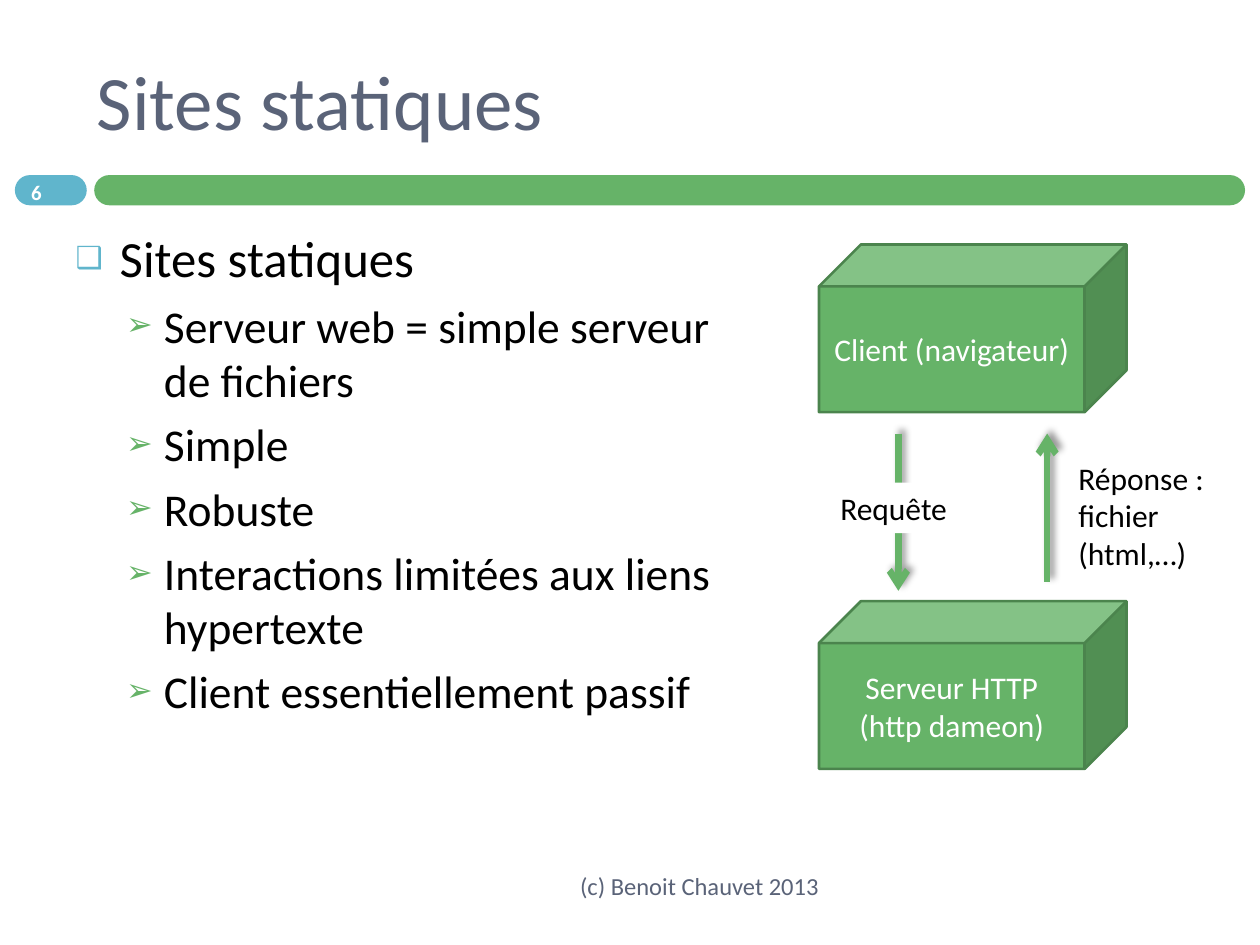
from lxml.etree import SubElement
from pptx import Presentation
from pptx.enum.shapes import MSO_CONNECTOR, MSO_SHAPE
from pptx.enum.text import MSO_ANCHOR, MSO_AUTO_SIZE, PP_ALIGN
from pptx.dml.color import RGBColor
from pptx.oxml import parse_xml
from pptx.oxml.ns import nsdecls, qn
from pptx.util import Cm, Pt

GREEN, BLUE, SLATE, WHITE, BLACK = "66B368", "60B5CC", "5A6378", "FFFFFF", "000000"


def paint(fill, color):
    fill.solid()
    fill.fore_color.rgb = RGBColor.from_string(color)


def write(paragraph, text, size=18, color=BLACK, bold=False, align=PP_ALIGN.LEFT, before=0):
    paragraph.alignment = align
    paragraph.space_before = Pt(before)
    span = paragraph.add_run()
    span.text = text
    span.font.name = "Calibri"
    span.font.size = Pt(size)
    span.font.bold = bold
    paint(span.font.fill, color)


deck = Presentation()
deck.slide_width, deck.slide_height = Cm(25.4), Cm(19.05)
page = deck.slides.add_slide(deck.slide_layouts[1])
shapes = page.shapes

for left, width, color in [(0.3, 1.45, BLUE), (1.9, 23.2, GREEN)]:
    bar = shapes.add_shape(MSO_SHAPE.ROUNDED_RECTANGLE, Cm(left), Cm(3.53), Cm(width), Cm(0.61))
    bar.adjustments[0] = 0.5
    bar.shadow.inherit = False
    paint(bar.fill, color)
    bar.line.fill.background()

title = shapes.title
title.left, title.top, title.width, title.height = Cm(1.7), Cm(0.64), Cm(22.66), Cm(2.74)
title.text_frame.auto_size = MSO_AUTO_SIZE.NONE
title.text_frame.vertical_anchor = MSO_ANCHOR.MIDDLE
write(title.text_frame.paragraphs[0], "Sites statiques", size=44, color=SLATE)

body = page.placeholders[1]
body.left, body.top, body.width, body.height = Cm(1.27), Cm(4.45), Cm(14.22), Cm(12.57)
body.text_frame.auto_size = MSO_AUTO_SIZE.NONE
levels = [
    dict(margin=0.89, hanging=0.89, mark="❑", color=BLUE, scale=60, size=29, before=0),
    dict(margin=1.78, hanging=0.76, mark="➢", color=GREEN, scale=70, size=26, before=5.5),
]
items = [
    (0, "Sites statiques"),
    (1, "Serveur web = simple serveur de fichiers"),
    (1, "Simple"),
    (1, "Robuste"),
    (1, "Interactions limitées aux liens hypertexte"),
    (1, "Client essentiellement passif"),
]
for index, (level, text) in enumerate(items):
    frame = body.text_frame
    paragraph = frame.add_paragraph() if index else frame.paragraphs[0]
    style = levels[level]
    paragraph.level = level
    properties = paragraph._p.get_or_add_pPr()
    properties.set("marL", str(Cm(style["margin"])))
    properties.set("indent", str(-Cm(style["hanging"])))
    SubElement(SubElement(properties, qn("a:buClr")), qn("a:srgbClr"), val=style["color"])
    SubElement(properties, qn("a:buSzPct"), val=str(style["scale"] * 1000))
    SubElement(properties, qn("a:buFont"), typeface="Arial")
    SubElement(properties, qn("a:buChar"), char=style["mark"])
    write(paragraph, text, size=style["size"], before=style["before"])

for top, text in [(4.93, "Client (navigateur)"), (12.12, "Serveur HTTP (http dameon)")]:
    cube = shapes.add_shape(MSO_SHAPE.CUBE, Cm(16.51), Cm(top), Cm(6.2), Cm(3.38))
    cube.shadow.inherit = False
    paint(cube.fill, GREEN)
    paint(cube.line.fill, "4B844D")
    cube.line.width = Pt(1.5)
    cube.text_frame.vertical_anchor = MSO_ANCHOR.MIDDLE
    write(cube.text_frame.paragraphs[0], text, color=WHITE, align=PP_ALIGN.CENTER)

for x, start, end in [(18.11, 8.74, 11.91), (21.11, 11.73, 8.74)]:
    arrow = shapes.add_connector(MSO_CONNECTOR.STRAIGHT, Cm(x), Cm(start), Cm(x), Cm(end))
    paint(arrow.line.fill, GREEN)
    arrow.line.width = Pt(3.75)
    SubElement(arrow.line._get_or_add_ln(), qn("a:tailEnd"), type="arrow")
    arrow._element.spPr.append(parse_xml(
        f'<a:effectLst {nsdecls("a")}>'
        f'<a:outerShdw blurRad="{Pt(4)}" dist="{Pt(3)}" dir="18900000" rotWithShape="0">'
        '<a:srgbClr val="000000"><a:alpha val="40000"/></a:srgbClr>'
        '</a:outerShdw></a:effectLst>'))

labels = [
    (16.69, 9.73, 2.79, 1.02, "Requête"),
    (21.49, 9.12, 3.2, 2.57, "Réponse : fichier (html,…)"),
]
for left, top, width, height, text in labels:
    box = shapes.add_textbox(Cm(left), Cm(top), Cm(width), Cm(height))
    box.text_frame.word_wrap = True
    paint(box.fill, WHITE)
    write(box.text_frame.paragraphs[0], text)

footers = [
    (0, 3.53, 1.47, 0.69, "6", dict(size=11.9, color=WHITE, bold=True, align=PP_ALIGN.CENTER)),
    (1.7, 17.35, 15.06, 1.02, "(c) Benoit Chauvet 2013",
     dict(size=14, color=SLATE, align=PP_ALIGN.RIGHT)),
]
for left, top, width, height, text, style in footers:
    box = shapes.add_textbox(Cm(left), Cm(top), Cm(width), Cm(height))
    box.text_frame.word_wrap = True
    box.text_frame.vertical_anchor = MSO_ANCHOR.MIDDLE
    write(box.text_frame.paragraphs[0], text, **style)

deck.save("out.pptx")
